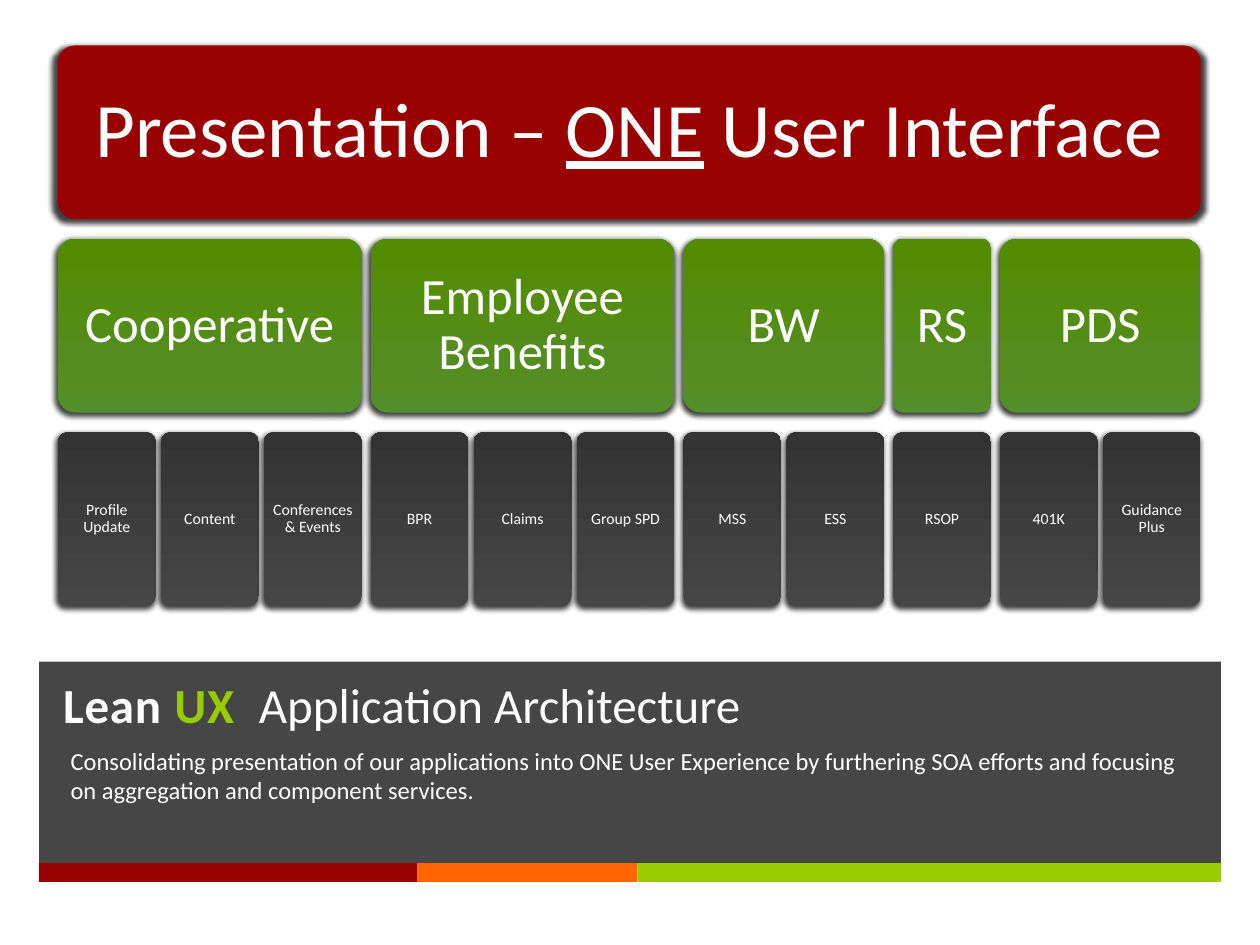
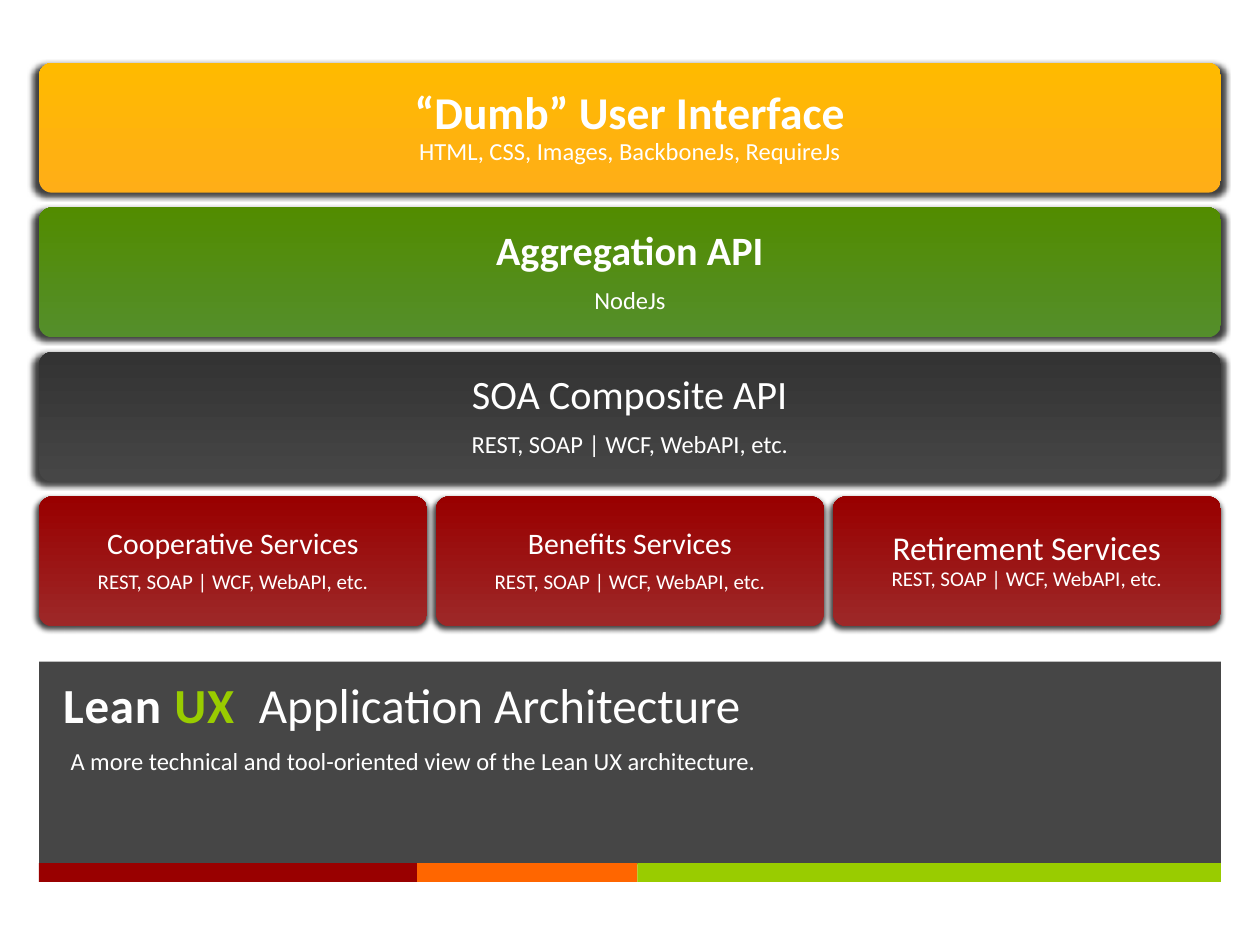
from lxml import etree
from pptx import Presentation
from pptx import util as u
from pptx.dml.color import RGBColor
from pptx.enum import shapes, text
from pptx.oxml import ns

# Content: a run is (words, format)
FONT = "Calibri"
WHITE, LIME, RED, ORANGE = "FFFFFF", "99CC00", "990000", "FF6600"
GREEN, GREY, GOLD, BRICK = (("548E2B", "528C00"), ("464646", "333333"),
                            ("FFAE17", "FFBA00"), ("9D2828", RED))  # bottom, top
WIDE, LEFT = 9.38, 0.31

TITLE = [("Lean ", dict(size=28, color="FEFEFE", bold=True, edge="2E2E2E")),
         ("UX  ", dict(size=28, color=LIME, bold=True, edge="2E2E2E")),
         ("Application Architecture", dict(size=28))]
BAND = dict(top=5.25, high=1.61, color="262626", alpha=85)
STRIPES = [(RED, 3), (ORANGE, 1.75), (LIME, 4.63)]

NOTES = ["Consolidating presentation of our applications into ONE User Experience "
         "by furthering SOA efforts and focusing on aggregation and component services.",
         "A more technical and tool-oriented view of the Lean UX architecture."]

ROOF = [("Presentation – ", dict(size=44)),
        ("ONE", dict(size=44, under=True)),
        (" User Interface", dict(size=44))]
GROUPS = [("Cooperative", ["Profile Update", "Content", "Conferences & Events"]),
          ("Employee Benefits", ["BPR", "Claims", "Group SPD"]),
          ("BW", ["MSS", "ESS"]),
          ("RS", ["RSOP"]),
          ("PDS", ["401K", "Guidance Plus"])]

TOOLS = "REST, SOAP | WCF, WebAPI, etc."
# Each row: fill, then cards of (head, size, bold, detail, size, inset, one paragraph)
LAYERS = [
    (GOLD, [("“Dumb” User Interface", 26, True,
             "HTML, CSS, Images, BackboneJs, RequireJs", 14, 0.11, True)]),
    (GREEN, [("Aggregation API", 23, True, "NodeJs", 14, 0.1, False)]),
    (GREY, [("SOA Composite API", 23, False, TOOLS, 14, 0.1, False)]),
    (BRICK, [("Cooperative Services", 17, False, TOOLS, 12, 0.07, False),
             ("Benefits Services", 17, False, TOOLS, 12, 0.07, False),
             ("Retirement Services", 19, False, TOOLS, 12, 0.08, True)]),
]


# Helpers
def rgb(code):
    return RGBColor.from_string(code)


def sub(node, tag, **attrs):
    return etree.SubElement(node, ns.qn("a:" + tag),
                            {k: str(v) for k, v in attrs.items()})


def write(para, words, size=14, color=WHITE, bold=False, under=False, edge=None):
    """Add one run; a leading line break is kept."""
    if words.startswith("\n"):
        para.add_line_break()
    run = para.add_run()
    run.text = words.lstrip("\n")
    font = run.font
    font.name, font.size, font.bold = FONT, u.Pt(size), bold
    font.underline = under
    font.color.rgb = rgb(color)
    if edge:
        props = run._r.get_or_add_rPr()
        props.set("spc", "50")
        line = sub(props, "ln", w=12700)
        sub(sub(line, "solidFill"), "srgbClr", val=edge)
        props.insert(0, line)


def place(shape, left, top, wide, high):
    shape.left, shape.top, shape.width, shape.height = map(
        u.Inches, (left, top, wide, high))


def block(slide, left, top, wide, high, color, alpha=None):
    box = slide.shapes.add_shape(shapes.MSO_SHAPE.RECTANGLE,
                                 *map(u.Inches, (left, top, wide, high)))
    box.shadow.inherit = False
    box.line.fill.background()
    box.fill.solid()
    box.fill.fore_color.rgb = rgb(color)
    if alpha:
        tint = box._element.spPr.find(".//" + ns.qn("a:srgbClr"))
        sub(tint, "alpha", val=alpha * 1000)
    return box


def card(slide, left, top, wide, high, fill, paras, inset):
    """Rounded card with a soft shadow and centred paragraphs of runs."""
    box = slide.shapes.add_shape(shapes.MSO_SHAPE.ROUNDED_RECTANGLE,
                                 *map(u.Inches, (left, top, wide, high)))
    box.adjustments[0] = 0.1
    box.line.fill.background()
    if isinstance(fill, str):
        box.fill.solid()
        box.fill.fore_color.rgb = rgb(fill)
    else:
        box.fill.gradient()
        box.fill.gradient_angle = 90
        for stop, code in zip(box.fill.gradient_stops, fill):
            stop.color.rgb = rgb(code)

    box.shadow.inherit = False
    effect = box._element.spPr.find(ns.qn("a:effectLst"))
    shade = sub(effect, "outerShdw", blurRad=38100, dist=25400, dir=6600000,
                sx=101000, sy=101000, rotWithShape=0)
    sub(sub(shade, "srgbClr", val="000000"), "alpha", val=75000)

    frame = box.text_frame
    frame.word_wrap = True
    frame.vertical_anchor = text.MSO_ANCHOR.MIDDLE
    frame.margin_left = frame.margin_right = u.Inches(inset)
    frame.margin_top = frame.margin_bottom = u.Inches(inset)
    for i, runs in enumerate(paras):
        para = frame.add_paragraph() if i else frame.paragraphs[0]
        para.alignment = text.PP_ALIGN.CENTER
        para.line_spacing = 0.9
        sub(sub(para._p.get_or_add_pPr(), "spcAft"), "spcPct", val=35000)
        for words, form in runs:
            write(para, words, **form)


def brand(slide, layout):
    """Draw the dark band and stripes, then hand them to the layout."""
    parts = [block(slide, LEFT, BAND["top"], WIDE, BAND["high"],
                   BAND["color"], BAND["alpha"])]
    left = LEFT
    for color, wide in STRIPES:
        parts.append(block(slide, left, 6.85, wide, 0.15, color))
        left += wide
    for i, part in enumerate(parts):
        layout.shapes._spTree.insert(2 + i, part._element)


def caption(slide, note):
    """Fill the title and body placeholders on the band."""
    title, body = slide.shapes.title, slide.placeholders[1]
    place(title, 0.4, 5.25, 9.14, 0.62)
    place(body, 0.46, 5.87, 9.08, 0.88)
    for shape, anchor, runs in ((title, text.MSO_ANCHOR.BOTTOM, TITLE),
                                (body, text.MSO_ANCHOR.TOP, [(note, {})])):
        frame = shape.text_frame
        frame.word_wrap = True
        frame.auto_size = text.MSO_AUTO_SIZE.NONE
        frame.vertical_anchor = anchor
        para = frame.paragraphs[0]
        para.alignment = text.PP_ALIGN.LEFT
        para.space_before = u.Pt(0)
        props = para._p.get_or_add_pPr()
        props.set("marL", "0")
        props.set("indent", "0")
        sub(props, "buNone")
        for words, form in runs:
            write(para, words, **form)


# Slide 1: one roof, groups, and their apps
def draw_apps(slide):
    left, wide, high = 0.46, 9.07, 1.38
    rows = [0.36 + 1.535 * i for i in range(3)]
    gap, split = 0.04, 0.07
    count = sum(len(apps) for _, apps in GROUPS)
    seams = len(GROUPS) - 1
    cell = (wide - seams * split - (count - 1 - seams) * gap) / count

    card(slide, left, rows[0], wide, high, RED, [ROOF], 0.18)
    for name, apps in GROUPS:
        span = len(apps) * (cell + gap) - gap
        card(slide, left, rows[1], span, high, GREEN, [[(name, dict(size=29))]], 0.12)
        for i, app in enumerate(apps):
            card(slide, left + i * (cell + gap), rows[2], cell, high, GREY,
                 [[(app, dict(size=9))]], 0.04)
        left += span + split


# Slide 2: technical layers
def draw_layers(slide):
    gap = 0.07
    for row, (fill, cards) in enumerate(LAYERS):
        wide = (WIDE - gap * (len(cards) - 1)) / len(cards)
        for col, (head, big, bold, detail, small, inset, joined) in enumerate(cards):
            top = (head, dict(size=big, bold=bold))
            if joined:
                paras = [[top, ("\n" + detail, dict(size=small))]]
            else:
                paras = [[top], [(detail, dict(size=small))]]
            card(slide, LEFT + col * (wide + gap), 0.5 + 1.147 * row, wide, 1.03,
                 fill, paras, inset)


def main():
    deck = Presentation()
    deck.slide_width, deck.slide_height = u.Inches(10), u.Inches(7.5)
    layout = deck.slide_layouts[1]
    for i, (note, draw) in enumerate(zip(NOTES, (draw_apps, draw_layers))):
        slide = deck.slides.add_slide(layout)
        if i == 0:
            brand(slide, layout)
        caption(slide, note)
        draw(slide)
    deck.save("out.pptx")


if __name__ == "__main__":
    main()
